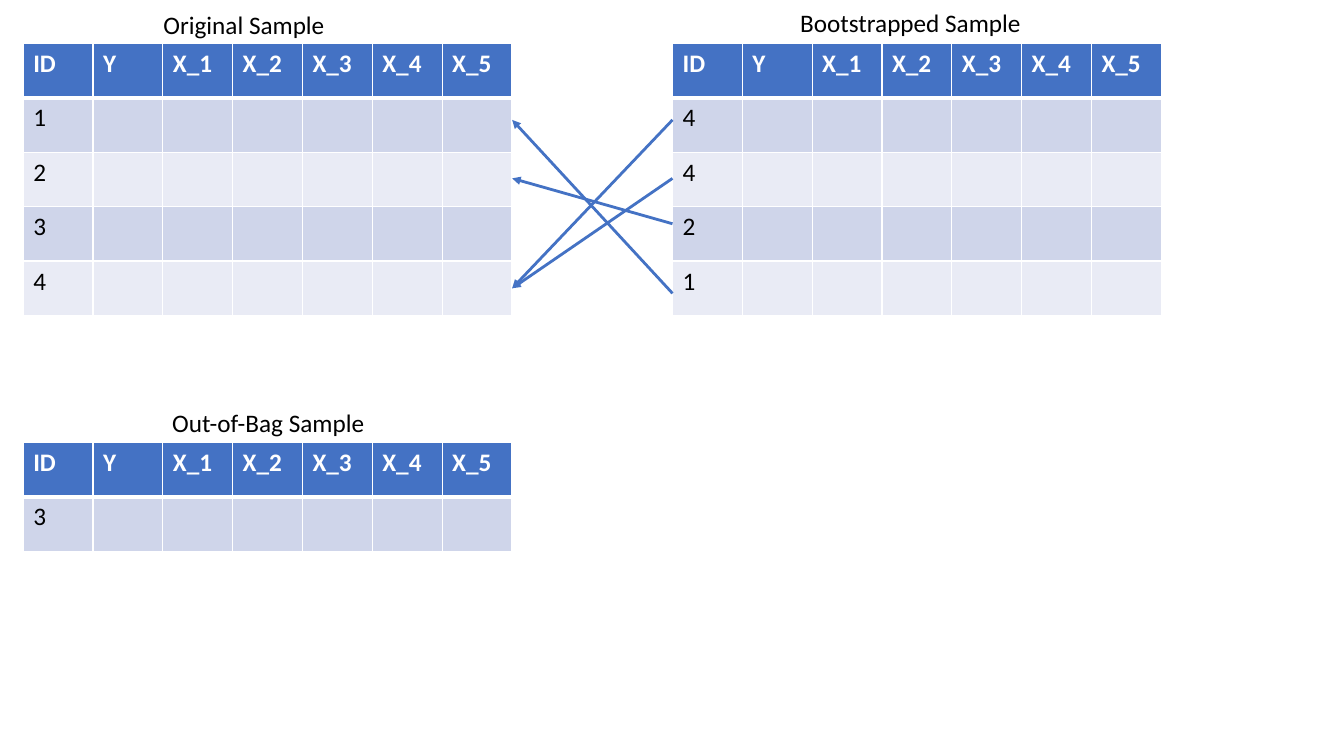
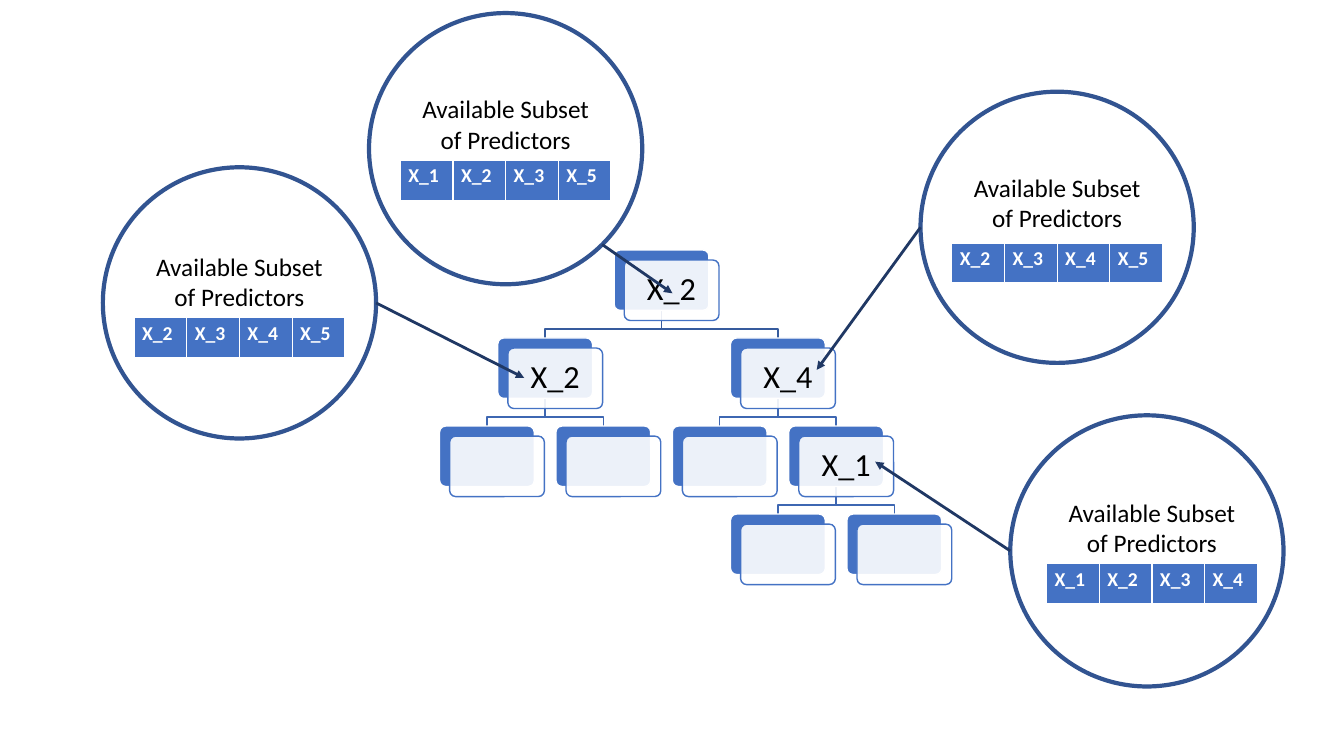
from dataclasses import dataclass
from math import cos, radians, sin

from lxml.etree import SubElement
from pptx import Presentation
from pptx.dml.color import RGBColor as RGB
from pptx.enum.shapes import MSO_CONNECTOR as CONN, MSO_SHAPE as SHAPE
from pptx.enum.text import MSO_ANCHOR as ANCHOR, PP_ALIGN as ALIGN
from pptx.oxml.ns import qn
from pptx.util import Inches, Pt


@dataclass(frozen=True)
class Theme:
    font: str = "Calibri"
    white: str = "FFFFFF"
    black: str = "000000"
    accent: str = "4472C4"
    bands: tuple = ("CFD5EA", "E9EBF5")
    ring: str = "325491"
    pointer: str = "203864"
    root_branch: str = "365B9D"
    branch: str = "3E67B2"
    caption: int = 18
    cell: int = 18
    small_cell: int = 14
    node: int = 23


T = Theme()
HEADERS = ["ID", "Y", "X_1", "X_2", "X_3", "X_4", "X_5"]
CIRCLE = (2.71, 2.69)


@dataclass(frozen=True)
class Bubble:
    at: tuple
    predictors: tuple
    angle: int
    target: tuple
    inset: tuple = (0.31, 0.75)
    gap: float = 0


@dataclass(frozen=True)
class Node:
    column: int
    level: int
    label: str = ""
    children: tuple = ()


BUBBLES = (
    Bubble((3.66, 0.13), ("X_1", "X_2", "X_3", "X_5"), 45, (6.67, 2.91)),
    Bubble((1.02, 1.66), ("X_2", "X_3", "X_4", "X_5"), 0, (5.2, 3.75),
           inset=(0.31, 0.78)),
    Bubble((9.13, 0.91), ("X_2", "X_3", "X_4", "X_5"), 180, (8.1, 3.67),
           gap=0.04),
    Bubble((10.02, 4.12), ("X_1", "X_2", "X_3", "X_4"), 180, (8.68, 4.58),
           inset=(0.36, 0.76)),
)

TREE = Node(3, 0, "X_2", (
    Node(1, 1, "X_2", (Node(0, 2), Node(2, 2))),
    Node(5, 1, "X_4", (
        Node(4, 2),
        Node(6, 2, "X_1", (Node(5, 3), Node(7, 3))),
    )),
))


def style_text(p, size, color, bold=False):
    p.font.name = T.font
    p.font.size = Pt(size)
    p.font.bold = bold
    p.font.color.rgb = RGB.from_string(color)


def style_line(line, color, width):
    line.color.rgb = RGB.from_string(color)
    line.width = Pt(width)


def add_caption(slide, text, box):
    tf = slide.shapes.add_textbox(*map(Inches, box)).text_frame
    tf.word_wrap = True
    p = tf.paragraphs[0]
    p.text = text
    p.alignment = ALIGN.CENTER
    style_text(p, T.caption, T.black)


def add_arrow(slide, start, end, color):
    c = slide.shapes.add_connector(CONN.STRAIGHT, *map(Inches, (*start, *end)))
    style_line(c.line, color, 2)
    SubElement(c.line._get_or_add_ln(), qn("a:tailEnd"), type="triangle")
    SubElement(c._element.spPr, qn("a:effectLst"))


def set_borders(cell, widths):
    tc_pr = cell._tc.get_or_add_tcPr()
    for i, (side, width) in enumerate(zip("LRTB", widths)):
        ln = SubElement(tc_pr, qn(f"a:ln{side}"), w=str(Pt(width)))
        fill = SubElement(ln, qn("a:solidFill"))
        SubElement(fill, qn("a:srgbClr"), val=T.white)
        tc_pr.insert(i, ln)


def add_grid(slide, rows, box, size, margins=(0.1, 0.05)):
    x, y, w, h = box
    count = len(rows[0])
    table = slide.shapes.add_table(len(rows), count, *map(Inches, box)).table
    for col in table.columns:
        col.width = Inches(w / count)
    for i, values in enumerate(rows):
        table.rows[i].height = Inches(h / len(rows))
        header = i == 0
        color = T.accent if header else T.bands[(i - 1) % 2]
        for j, value in enumerate(values):
            cell = table.cell(i, j)
            cell.margin_left = cell.margin_right = Inches(margins[0])
            cell.margin_top = cell.margin_bottom = Inches(margins[1])
            cell.fill.solid()
            cell.fill.fore_color.rgb = RGB.from_string(color)
            set_borders(cell, (1, 1, 3 if i == 1 else 1, 3 if header else 1))
            p = cell.text_frame.paragraphs[0]
            p.text = value
            style_text(p, size, T.white if header else T.black, header)


def add_sample(slide, title, title_at, ids, at):
    add_caption(slide, title, (*title_at, 3.74, 0.4))
    blanks = [""] * (len(HEADERS) - 1)
    rows = [HEADERS] + [[i, *blanks] for i in ids]
    add_grid(slide, rows, (*at, 4.85, 0.54 * len(rows)), T.cell)


def add_bubble(slide, bubble):
    (x, y), (w, h) = bubble.at, CIRCLE
    sp = slide.shapes.add_shape(SHAPE.OVAL, *map(Inches, (x, y, w, h)))
    sp.shadow.inherit = False
    sp.fill.background()
    style_line(sp.line, T.ring, 3)
    left, top = x + bubble.inset[0], y + bubble.inset[1]
    add_caption(slide, "Available Subset of Predictors", (left, top, 2.09, 0.71))
    add_grid(slide, [bubble.predictors], (left, top + 0.71 + bubble.gap, 2.09, 0.41),
             T.small_cell, (0.08, 0.04))
    a = radians(bubble.angle)
    start = (x + w / 2 * (1 + cos(a)), y + h / 2 * (1 + sin(a)))
    add_arrow(slide, start, bubble.target, T.pointer)


def add_plate(slide, box, fill, line):
    sp = slide.shapes.add_shape(SHAPE.ROUNDED_RECTANGLE, *map(Inches, box))
    sp.adjustments[0] = 0.1
    sp.shadow.inherit = False
    sp.fill.solid()
    sp.fill.fore_color.rgb = RGB.from_string(fill)
    style_line(sp.line, line, 1)
    return sp


def add_branch(slide, start, end, color):
    (x1, y1), (x2, y2) = start, end
    bend = y2 - 0.09
    builder = slide.shapes.build_freeform(Inches(x1), Inches(y1))
    points = [(x1, bend), (x2, bend), (x2, y2)]
    builder.add_line_segments([(Inches(x), Inches(y)) for x, y in points], close=False)
    sp = builder.convert_to_shape()
    sp.shadow.inherit = False
    sp.fill.background()
    style_line(sp.line, color, 1)


def add_tree(slide, root, box):
    x, y, w, h = box
    node_w, node_h, shift = 0.94, 0.6, 0.1
    col_step = (w - node_w - shift) / 7
    row_step = (h - node_h - shift) / 3

    def place(node):
        return x + node.column * col_step, y + node.level * row_step

    def draw_branches(node):
        left, top = place(node)
        color = T.branch if node.level else T.root_branch
        for child in node.children:
            cx, cy = place(child)
            add_branch(slide, (left + node_w / 2, top + node_h),
                       (cx + node_w / 2, cy), color)
            draw_branches(child)

    def draw_nodes(node):
        left, top = place(node)
        add_plate(slide, (left, top, node_w, node_h), T.accent, T.white)
        card = add_plate(slide, (left + shift, top + shift, node_w, node_h),
                         T.white, T.accent)
        clr = card._element.spPr.find(qn("a:solidFill")).find(qn("a:srgbClr"))
        SubElement(clr, qn("a:alpha"), val="90000")
        if node.label:
            tf = card.text_frame
            tf.word_wrap = True
            tf.vertical_anchor = ANCHOR.MIDDLE
            p = tf.paragraphs[0]
            p.text = node.label
            p.alignment = ALIGN.CENTER
            p.line_spacing = 0.9
            style_text(p, T.node, T.black)
        for child in node.children:
            draw_nodes(child)

    draw_branches(root)
    draw_nodes(root)


def build_sampling_slide(slide):
    add_sample(slide, "Original Sample", (0.55, 0.04), "1234", (0.23, 0.43))
    add_sample(slide, "Bootstrapped Sample", (7.16, 0.02), "4421", (6.67, 0.43))
    add_sample(slide, "Out-of-Bag Sample", (0.79, 3.99), "3", (0.23, 4.39))
    for drawn_y, source_y in ((1.19, 2.86), (1.77, 2.86), (2.22, 1.77), (2.91, 1.19)):
        add_arrow(slide, (6.67, drawn_y), (5.08, source_y), T.accent)


def build_tree_slide(slide):
    add_tree(slide, TREE, (4.36, 2.48, 5.08, 3.32))
    for bubble in BUBBLES:
        add_bubble(slide, bubble)


def main():
    prs = Presentation()
    prs.slide_width, prs.slide_height = Inches(13.33), Inches(7.5)
    for build in (build_sampling_slide, build_tree_slide):
        build(prs.slides.add_slide(prs.slide_layouts[6]))
    prs.save("out.pptx")


if __name__ == "__main__":
    main()
